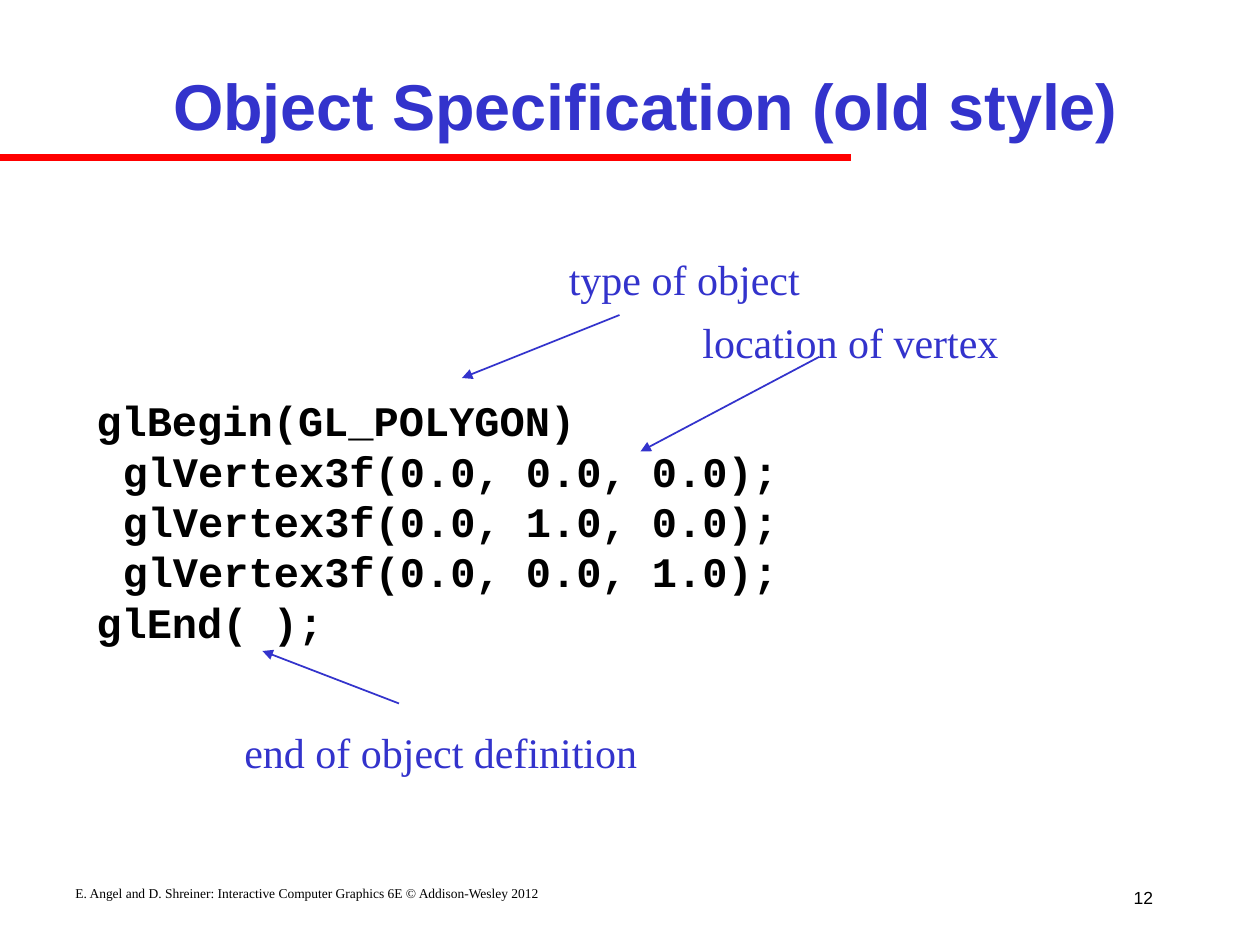
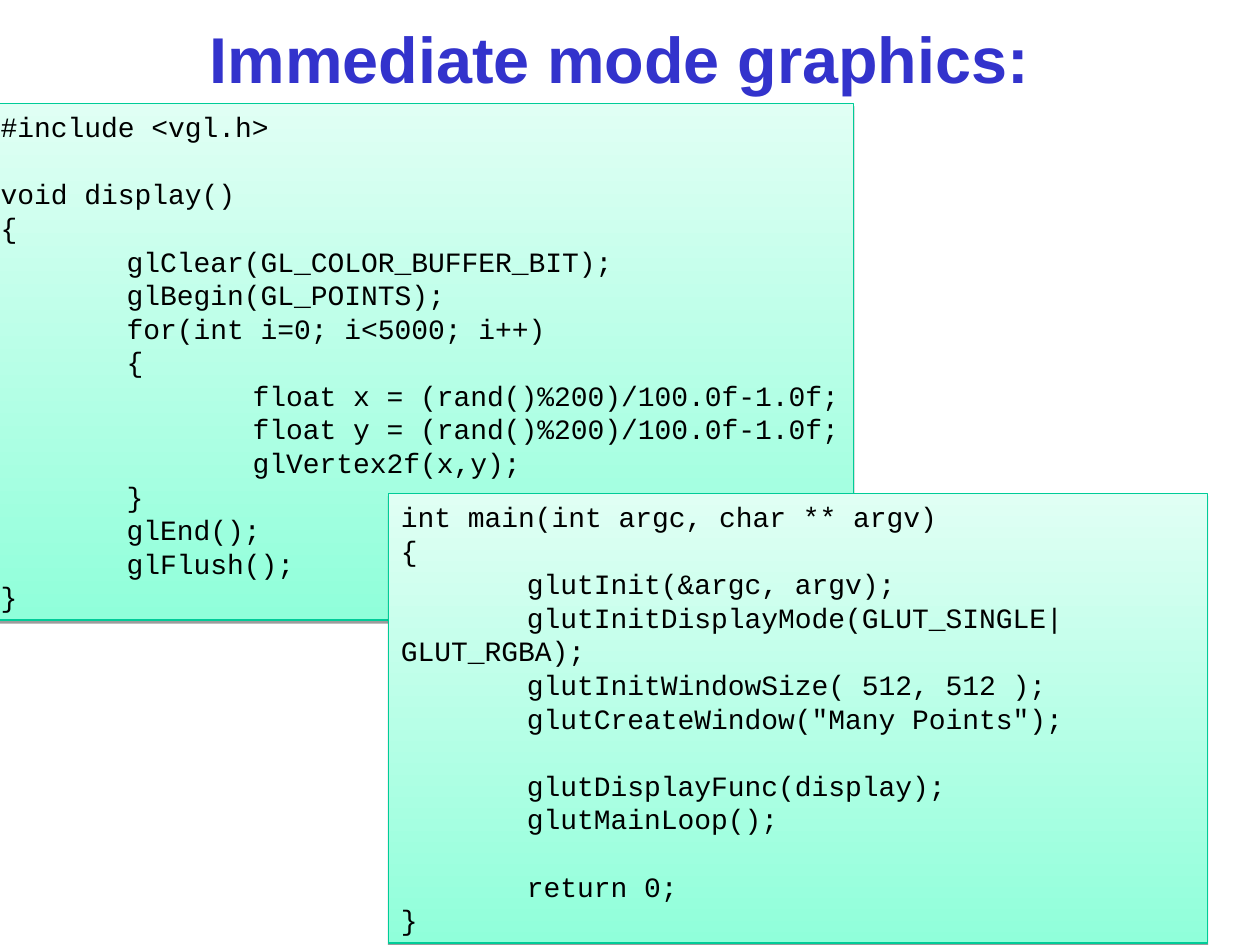
import pptx
import pptx.dml.color
import pptx.enum.shapes
import pptx.enum.text
import pptx.oxml
import pptx.oxml.ns
import pptx.util
from dataclasses import dataclass

Pt = pptx.util.Pt
RGB = pptx.dml.color.RGBColor.from_string
ALIGN = pptx.enum.text.PP_ALIGN
ANCHOR = pptx.enum.text.MSO_ANCHOR
FIT = pptx.enum.text.MSO_AUTO_SIZE


@dataclass(frozen=True)
class Theme:
    accent: str = "3333CC"
    rule: str = "FF0000"
    ink: str = "000000"
    panel_dark: str = "90FFDA"
    panel_light: str = "E0FFF4"
    panel_line: str = "00CC98"
    sans: str = "Arial"
    serif: str = "Times New Roman"
    mono: str = "Courier New"
    title_size: float = 37
    code_size: float = 24
    listing_size: float = 16
    number_size: float = 10
    footer_size: float = 7.7
    tab_step: float = 72


THEME = Theme()

POLYGON_CODE = [
    "glBegin(GL_POLYGON)",
    "\tglVertex3f(0.0, 0.0, 0.0);",
    "\tglVertex3f(0.0, 1.0, 0.0);",
    "\tglVertex3f(0.0, 0.0, 1.0);",
    "glEnd( );",
]

DISPLAY_CODE = [
    "#include <vgl.h>",
    "",
    "void display()",
    "{",
    "\tglClear(GL_COLOR_BUFFER_BIT);",
    "\tglBegin(GL_POINTS);",
    "\tfor(int i=0; i<5000; i++)",
    "\t{",
    "\t\tfloat x = (rand()%200)/100.0f-1.0f;",
    "\t\tfloat y = (rand()%200)/100.0f-1.0f;",
    "\t\tglVertex2f(x,y);",
    "\t}",
    "\tglEnd();",
    "\tglFlush();",
    "}",
]

MAIN_CODE = [
    "int main(int argc, char ** argv)",
    "{",
    "\tglutInit(&argc, argv);",
    "\tglutInitDisplayMode(GLUT_SINGLE|GLUT_RGBA);",
    "\tglutInitWindowSize( 512, 512 );",
    '\tglutCreateWindow("Many Points");',
    "",
    "\tglutDisplayFunc(display);",
    "\tglutMainLoop();",
    "",
    "\treturn 0;",
    "}",
]


def add_xml(parent, tag, body=""):
    """Append one DrawingML element, given its tag with attributes and its content."""
    name = tag.split()[0]
    parent.append(pptx.oxml.parse_xml(
        f"<a:{tag} {pptx.oxml.ns.nsdecls('a')}>{body}</a:{name}>"))


def write(sp, lines, font, size, color=THEME.ink, bold=False, align=ALIGN.LEFT,
          anchor=ANCHOR.TOP, wrap=True, tabs=0):
    """Fill a shape with one paragraph per line, all in the same style."""
    tf = sp.text_frame
    tf.word_wrap = wrap
    tf.vertical_anchor = anchor
    tf.text = "\n".join(lines)
    stops = "".join(f'<a:tab pos="{Pt(THEME.tab_step * i)}" algn="l"/>'
                    for i in range(1, tabs + 1))
    for p in tf.paragraphs:
        p.alignment = align
        if stops:
            add_xml(p._p.get_or_add_pPr(), "tabLst", stops)
        p.font.size = Pt(size)
        for r in p.runs:
            r.font.name = font
            r.font.size = Pt(size)
            r.font.bold = bold
            r.font.color.rgb = RGB(color)
    return tf


def add_text(s, box, lines, font, size, **style):
    sp = s.shapes.add_textbox(*map(Pt, box))
    return write(sp, lines, font, size, **style)


def add_line(s, start, end, color, width, arrow=False):
    line = s.shapes.add_connector(pptx.enum.shapes.MSO_CONNECTOR.STRAIGHT,
                                  *map(Pt, (*start, *end)))
    line.line.color.rgb = RGB(color)
    line.line.width = Pt(width)
    if arrow:
        add_xml(line.line._get_or_add_ln(), 'tailEnd type="triangle"')
    add_xml(line._element.spPr, "effectLst")


def add_heading(s, box, text):
    """Shared red rule, with the slide title in its own box."""
    add_line(s, (0, 90), (486, 90), THEME.rule, 4)
    add_text(s, box, [text], THEME.sans, THEME.title_size, color=THEME.accent,
             bold=True, align=ALIGN.CENTER, anchor=ANCHOR.MIDDLE)


def add_footer(s, box, credit, number):
    x, y, w, h = box
    add_text(s, (x + w - 30, y, 30, h), [number], THEME.sans, THEME.number_size,
             align=ALIGN.RIGHT, anchor=ANCHOR.MIDDLE, wrap=False)
    tf = add_text(s, (x, y + 6, 558, 18), [credit], THEME.serif, THEME.footer_size)
    tf.paragraphs[0].line_spacing = 0.8


def add_annotated_code(s, box):
    """Polygon code with labels above and below that point into it."""
    x, y, w, h = box
    tf = add_text(s, (x, y + 81, w, 168), POLYGON_CODE, THEME.mono,
                  THEME.code_size, bold=True)
    for p in tf.paragraphs:
        pPr = p._p.get_or_add_pPr()
        pPr.set("marL", str(Pt(15)))
        pPr.set("indent", str(-Pt(15)))

    notes = [
        ("type of object", (270, 0.4, 147), (306, 39), (216, 75)),
        ("location of vertex", (346.3, 36.4, 184), (420, 63), (318, 117)),
        ("end of object definition", (84.5, 270.4, 239), (180, 261), (102, 231)),
    ]
    for text, (dx, dy, width), tail, head in notes:
        tf = add_text(s, (x + dx, y + dy, width, 36), [text], THEME.serif,
                      THEME.code_size, color=THEME.accent, wrap=False)
        tf.auto_size = FIT.SHAPE_TO_FIT_TEXT
        add_line(s, (x + tail[0], y + tail[1]), (x + head[0], y + head[1]),
                 THEME.accent, 1, arrow=True)


def add_listing(s, box, code, wrap):
    """Code on a green gradient panel with a thin shadow below."""
    sp = s.shapes.add_shape(pptx.enum.shapes.MSO_SHAPE.RECTANGLE, *map(Pt, box))
    sp.fill.gradient()
    sp.fill.gradient_angle = 90
    for stop, color in zip(sp.fill.gradient_stops,
                           (THEME.panel_dark, THEME.panel_light)):
        stop.color.rgb = RGB(color)
    sp.line.color.rgb = RGB(THEME.panel_line)
    sp.line.width = Pt(0.75)
    add_xml(sp._element.spPr, "effectLst",
            f'<a:outerShdw blurRad="0" dist="{Pt(1.6)}" dir="5400000" rotWithShape="0">'
            f'<a:srgbClr val="{THEME.ink}"><a:alpha val="38000"/></a:srgbClr>'
            '</a:outerShdw>')
    tf = write(sp, code, THEME.mono, THEME.listing_size, wrap=wrap, tabs=7)
    tf.auto_size = FIT.SHAPE_TO_FIT_TEXT


def specification_slide(s):
    add_heading(s, (72, 18, 594, 84), "Object Specification (old style)")
    add_footer(s, (36, 498, 630, 30),
               "E. Angel and D. Shreiner: Interactive Computer Graphics 6E "
               "© Addison-Wesley 2012", "12")
    add_annotated_code(s, (48, 141, 612, 306))


def immediate_mode_slide(s):
    add_heading(s, (0, 6, 708, 54), "Immediate mode graphics:")
    add_listing(s, (-6.7, 59.2, 494.5, 295.2), DISPLAY_CODE, wrap=False)
    add_listing(s, (222, 282, 468, 257), MAIN_CODE, wrap=True)


def main():
    prs = pptx.Presentation()
    prs.slide_width, prs.slide_height = Pt(720), Pt(540)
    for build in (specification_slide, immediate_mode_slide):
        build(prs.slides.add_slide(prs.slide_layouts[6]))
    prs.save("out.pptx")


if __name__ == "__main__":
    main()
